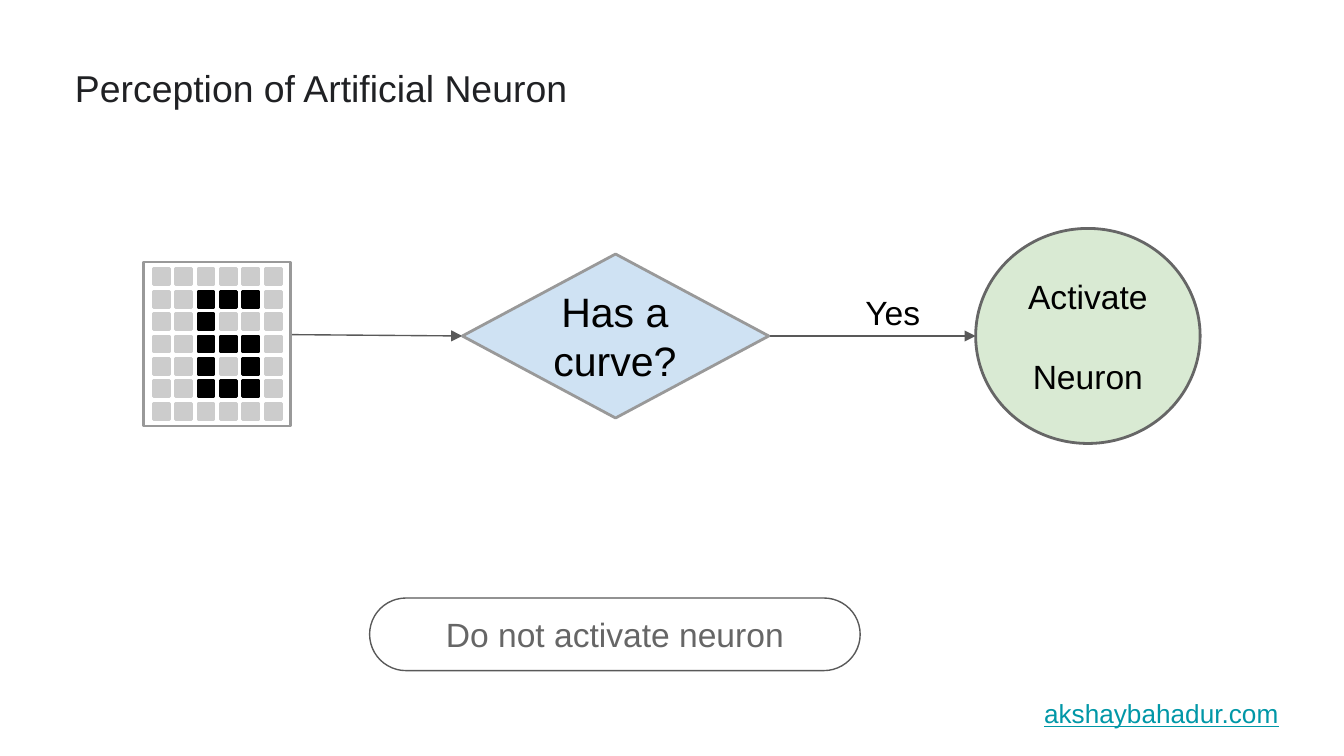
from pptx import Presentation
from pptx.dml.color import RGBColor
from pptx.enum.shapes import MSO_CONNECTOR as Connector, MSO_SHAPE as Shape
from pptx.enum.text import MSO_ANCHOR as Anchor, PP_ALIGN as Align
from pptx.oxml.ns import qn
from pptx.util import Inches, Pt
from lxml import etree

FONT = "Arial"
COLORS = {
    "black": "000000", "white": "FFFFFF", "title": "202124",
    "cell": "CCCCCC", "border": "999999", "label": "666666",
    "stroke": "595959", "green": "D9EAD3", "blue": "CFE2F3", "link": "0097A7",
}
# The digit 6 on the pixel grid: "#" is a dark cell
DIGIT = ["......", "..###.", "..#...", "..###.", "..#.#.", "..###.", "......"]
GRID_LEFT, GRID_TOP, CELL, PITCH = 1.14, 2, 0.12, 1 / 6


def rgb(name):
    return RGBColor.from_string(COLORS[name])


def add_shape(page, kind, at, fill, line, width=1.5):
    shape = page.shapes.add_shape(kind, *map(Inches, at))
    shape.shadow.inherit = False
    if fill:
        shape.fill.solid()
        shape.fill.fore_color.rgb = rgb(fill)
    else:
        shape.fill.background()
    shape.line.color.rgb = rgb(line)
    shape.line.width = Pt(width)
    return shape


def write_text(shape, lines, size, color, align=Align.CENTER,
               anchor=Anchor.MIDDLE, gap=0, underline=False):
    frame = shape.text_frame
    frame.word_wrap = True
    frame.vertical_anchor = anchor
    frame.margin_left = frame.margin_right = Inches(0.1)
    frame.margin_top = frame.margin_bottom = Inches(0.1)
    for index, line in enumerate(lines):
        para = frame.add_paragraph() if index else frame.paragraphs[0]
        para.alignment = align
        if index and gap:
            para.space_before = Pt(gap)
        span = para.add_run()
        span.text = line
        span.font.name = FONT
        span.font.size = Pt(size)
        span.font.color.rgb = rgb(color)
        if underline:
            span.font.underline = True


def add_text(page, at, line, size, color, **style):
    box = page.shapes.add_textbox(*map(Inches, at))
    write_text(box, [line], size, color, **style)


def add_arrow(page, start, end):
    arrow = page.shapes.add_connector(
        Connector.STRAIGHT, *map(Inches, (*start, *end)))
    arrow.line.color.rgb = rgb("stroke")
    arrow.line.width = Pt(0.75)
    etree.SubElement(arrow.line._get_or_add_ln(), qn("a:tailEnd"), type="triangle")
    etree.SubElement(arrow._element.spPr, qn("a:effectLst"))


def add_digit(page):
    add_shape(page, Shape.RECTANGLE, (1.07, 1.95, 1.09, 1.22), "white", "border")
    for row, marks in enumerate(DIGIT):
        for column, mark in enumerate(marks):
            color = "black" if mark == "#" else "cell"
            at = (GRID_LEFT + column * PITCH, GRID_TOP + row * PITCH, CELL, CELL)
            add_shape(page, Shape.RECTANGLE, at, color, color)


def main():
    # Widescreen page, 16:9
    deck = Presentation()
    deck.slide_width = Inches(10)
    deck.slide_height = Inches(10 * 9 / 16)
    page = deck.slides.add_slide(deck.slide_layouts[6])

    # Title
    add_text(page, (0.46, 0.38, 8.66, 0.54), "Perception of Artificial Neuron",
             20, "title", align=Align.LEFT)

    # Activated neuron
    neuron = add_shape(page, Shape.OVAL, (7.26, 1.7, 1.67, 1.6), "green", "label")
    write_text(neuron, ["Activate", "Neuron"], 18, "black", gap=21)

    # Flow from input to neuron
    add_arrow(page, (2.15, 2.49), (3.44, 2.5))
    add_arrow(page, (5.72, 2.5), (7.26, 2.5))
    add_text(page, (6.34, 2.07, 0.7, 0.57), "Yes", 18, "black",
             align=Align.LEFT, anchor=Anchor.TOP)

    # Decision
    add_shape(page, Shape.DIAMOND, (3.44, 1.89, 2.28, 1.22), "blue", "border")
    add_text(page, (3.8, 2.12, 1.55, 0.75), "Has a curve?", 22, "black")

    # Input digit
    add_digit(page)

    # Negative outcome
    outcome = add_shape(page, Shape.ROUNDED_RECTANGLE, (2.75, 4.45, 3.65, 0.54),
                        None, "stroke", 0.75)
    outcome.adjustments[0] = 0.5
    write_text(outcome, ["Do not activate neuron"], 18, "label")

    # Web address
    add_text(page, (7.67, 5.09, 1.99, 0.38), "akshaybahadur.com", 14, "link",
             align=Align.LEFT, anchor=Anchor.TOP, underline=True)

    deck.save("out.pptx")


if __name__ == "__main__":
    main()
